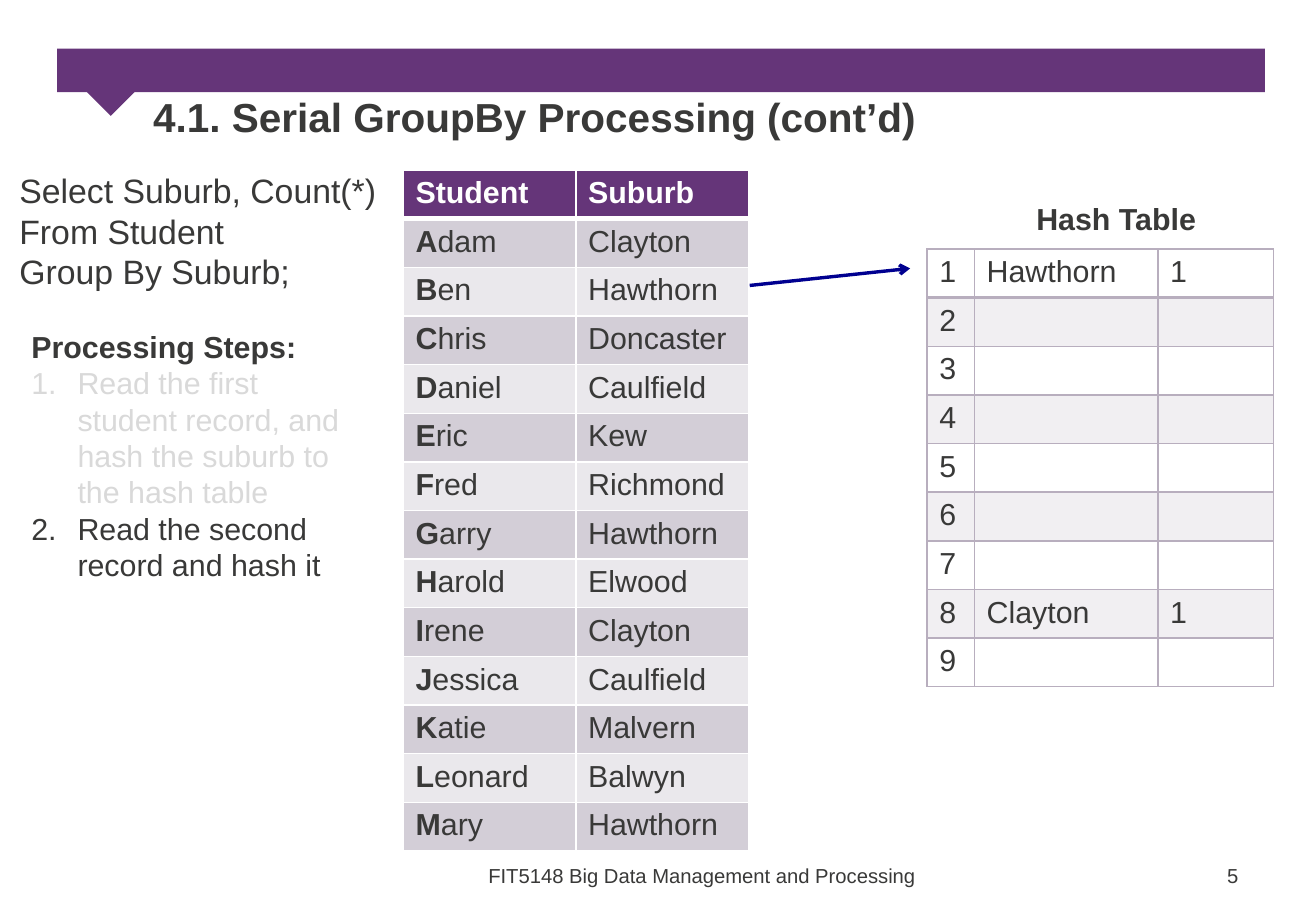
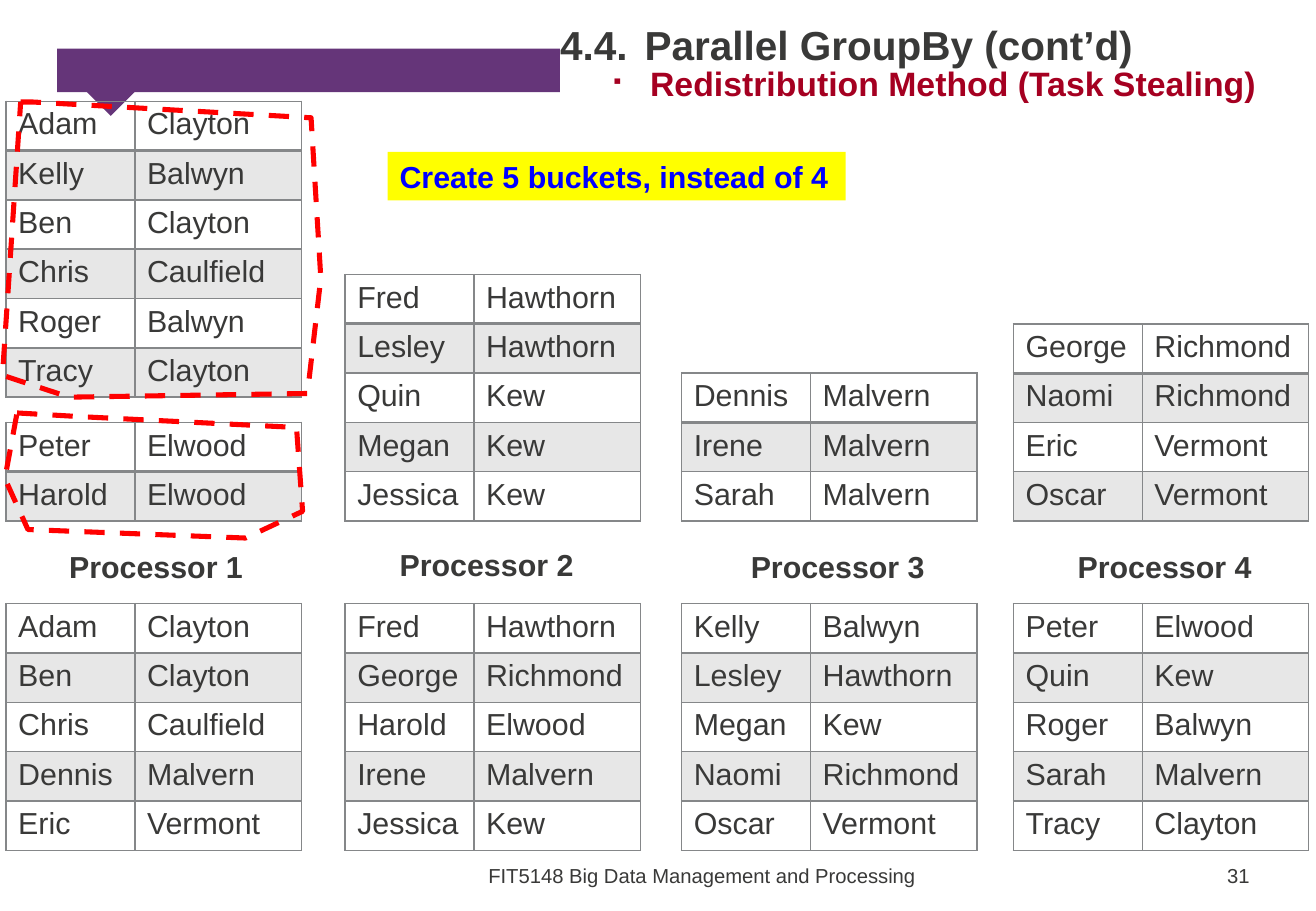
from lxml import etree
from pptx import Presentation, util as u
from pptx.dml.color import RGBColor
from pptx.enum import dml, shapes, text
from pptx.oxml import ns

PX = 9144  # one hundredth of an inch
FONT = "Arial"
PURPLE = RGBColor(0x65, 0x35, 0x79)
INK = RGBColor(0x39, 0x39, 0x38)
FADED = RGBColor(0xD9, 0xD9, 0xD9)
WHITE = RGBColor(0xFF, 0xFF, 0xFF)
CRIMSON = RGBColor(0xA5, 0x00, 0x21)
NAVY = RGBColor(0x00, 0x00, 0x90)
BLUE = RGBColor(0x00, 0x00, 0xFF)
YELLOW = RGBColor(0xFF, 0xFF, 0x00)
RED = RGBColor(0xFF, 0x00, 0x00)
STUDENT_BANDS = (RGBColor(0xD3, 0xCE, 0xD7), RGBColor(0xEA, 0xE8, 0xEC))
MAUVE = RGBColor(0xB8, 0xAE, 0xBE)
MAUVE_TINT = RGBColor(0xF1, 0xEF, 0xF2)
GREY = RGBColor(0x85, 0x87, 0x89)
GREY_TINT = RGBColor(0xE7, 0xE7, 0xE7)
NO_STYLE = "{2D5ABB26-0587-4C30-8999-92F81FD0307C}"

TITLE = {"size": 24, "bold": True}
STRONG = {"size": 18, "bold": True}
BODY = {"size": 18}
QUERY = {"size": 20}
SMALL = {"size": 12}
TITLE_MARGINS = (0, 0, 10, 5)
NO_MARGINS = (0, 0, 0, 0)

FOOTER = "FIT5148 Big Data Management and Processing"
SQL = ["Select Suburb, Count(*)", "From Student", "Group By Suburb;"]
STEPS = [
    ("Read the first student record, and hash the suburb to the hash table", FADED),
    ("Read the second record and hash it", INK),
]
STUDENTS = [
    ("Adam", "Clayton"), ("Ben", "Hawthorn"), ("Chris", "Doncaster"),
    ("Daniel", "Caulfield"), ("Eric", "Kew"), ("Fred", "Richmond"),
    ("Garry", "Hawthorn"), ("Harold", "Elwood"), ("Irene", "Clayton"),
    ("Jessica", "Caulfield"), ("Katie", "Malvern"), ("Leonard", "Balwyn"),
    ("Mary", "Hawthorn"),
]
HASH_SLOTS = 9
HASHED = {1: ("Hawthorn", "1"), 8: ("Clayton", "1")}

# left edge, label position, buckets as (bottom, rows), initial rows
PROCESSORS = [
    (5, (47, 446),
     [(327, [("Adam", "Clayton"), ("Kelly", "Balwyn"), ("Ben", "Clayton"),
             ("Chris", "Caulfield"), ("Roger", "Balwyn"), ("Tracy", "Clayton")]),
      (429, [("Peter", "Elwood"), ("Harold", "Elwood")])],
     [("Adam", "Clayton"), ("Ben", "Clayton"), ("Chris", "Caulfield"),
      ("Dennis", "Malvern"), ("Eric", "Vermont")]),
    (284, (319, 445),
     [(429, [("Fred", "Hawthorn"), ("Lesley", "Hawthorn"), ("Quin", "Kew"),
             ("Megan", "Kew"), ("Jessica", "Kew")])],
     [("Fred", "Hawthorn"), ("George", "Richmond"), ("Harold", "Elwood"),
      ("Irene", "Malvern"), ("Jessica", "Kew")]),
    (561, (608, 446),
     [(429, [("Dennis", "Malvern"), ("Irene", "Malvern"), ("Sarah", "Malvern")])],
     [("Kelly", "Balwyn"), ("Lesley", "Hawthorn"), ("Megan", "Kew"),
      ("Naomi", "Richmond"), ("Oscar", "Vermont")]),
    (834, (877, 446),
     [(429, [("George", "Richmond"), ("Naomi", "Richmond"), ("Eric", "Vermont"),
             ("Oscar", "Vermont")])],
     [("Peter", "Elwood"), ("Quin", "Kew"), ("Roger", "Balwyn"),
      ("Sarah", "Malvern"), ("Tracy", "Clayton")]),
]
INITIAL_BOTTOM = 700
BUCKET_ROW = 203 / 5
BUCKET_COLUMNS = (106, 137)
OUTLINES = [
    [(17, 84), (27, 84), (256, 97), (264, 229), (253, 324), (57, 327), (2, 309)],
    [(14, 340), (65, 343), (244, 352), (249, 421), (202, 443), (23, 436), (4, 394)],
]


def px(value):
    return u.Emu(round(value * PX))


def add_runs(paragraph, runs):
    """Runs are (text, format) pairs; a format may hold a color."""
    for content, style in runs:
        run = paragraph.add_run()
        run.text = content
        values = {"name": FONT, "bold": False, **style}
        run.font.color.rgb = values.pop("color", INK)
        values["size"] = u.Pt(values["size"])
        for name, value in values.items():
            setattr(run.font, name, value)


def add_text(slide, box, paragraphs, margins=(10, 5, 10, 5), wrap=True, fill=None):
    shape = slide.shapes.add_textbox(*map(px, box))
    frame = shape.text_frame
    frame.word_wrap = wrap
    frame.vertical_anchor = text.MSO_ANCHOR.TOP
    for side, margin in zip(("left", "top", "right", "bottom"), margins):
        setattr(frame, "margin_" + side, px(margin))
    if fill is not None:
        shape.fill.solid()
        shape.fill.fore_color.rgb = fill
    for index, runs in enumerate(paragraphs):
        paragraph = frame.paragraphs[0] if index == 0 else frame.add_paragraph()
        add_runs(paragraph, runs)
    return frame


def add_bullet(paragraph, indent, *marks):
    """Hang the paragraph by indent and give it (tag, attributes) bullet marks."""
    properties = paragraph._p.get_or_add_pPr()
    properties.set("marL", str(px(indent)))
    properties.set("indent", str(px(-indent)))
    for tag, attributes in marks:
        etree.SubElement(properties, ns.qn(tag), attributes)


def set_borders(cell, color, bottom, top):
    widths = {"a:lnL": 1, "a:lnR": 1, "a:lnT": top, "a:lnB": bottom}
    for tag, width in widths.items():
        line = etree.SubElement(cell._tc.get_or_add_tcPr(), ns.qn(tag),
                                {"w": str(u.Pt(width))})
        fill = etree.SubElement(line, ns.qn("a:solidFill"))
        etree.SubElement(fill, ns.qn("a:srgbClr"), {"val": str(color)})


def add_table(slide, left, top, columns, row_height, rows, fills, border, rule):
    """Rows hold lists of runs per cell; rule is the width below the first row."""
    frame = slide.shapes.add_table(len(rows), len(columns), px(left), px(top),
                                   px(sum(columns)), px(row_height * len(rows)))
    table = frame.table
    table.first_row = table.horz_banding = False
    table._tbl.tblPr.find(ns.qn("a:tableStyleId")).text = NO_STYLE
    for column, width in zip(table.columns, columns):
        column.width = px(width)
    for row_index, (row, fill) in enumerate(zip(rows, fills)):
        table.rows[row_index].height = px(row_height)
        for column_index, runs in enumerate(row):
            cell = table.cell(row_index, column_index)
            set_borders(cell, border, rule if row_index == 0 else 1,
                        rule if row_index == 1 else 1)
            if fill is None:
                cell.fill.background()
            else:
                cell.fill.solid()
                cell.fill.fore_color.rgb = fill
            add_runs(cell.text_frame.paragraphs[0], runs or [("", BODY)])


def alternate(fills, count):
    return [fills[index % len(fills)] for index in range(count)]


def add_bucket(slide, left, bottom, names):
    rows = [[[(word, BODY)] for word in pair] for pair in names]
    add_table(slide, left, bottom - BUCKET_ROW * len(rows), BUCKET_COLUMNS, BUCKET_ROW,
              rows, alternate((None, GREY_TINT), len(rows)), GREY, 2)


def add_base_slide(presentation, number):
    slide = presentation.slides.add_slide(presentation.slide_layouts[6])
    for box, rotation in (((47, 40, 994, 36), 0), ((78, 50, 32, 40), 45)):
        shape = slide.shapes.add_shape(shapes.MSO_SHAPE.RECTANGLE, *map(px, box))
        shape.rotation = rotation
        shape.shadow.inherit = False
        shape.fill.solid()
        shape.fill.fore_color.rgb = PURPLE
        shape.line.fill.background()
    add_text(slide, (1000, 706, 41, 30), [[(str(number), SMALL)]], wrap=False)
    add_text(slide, (392, 706, 376, 30), [[(FOOTER, SMALL)]], wrap=False)
    return slide


def add_arrow(slide, start, end):
    arrow = slide.shapes.add_connector(shapes.MSO_CONNECTOR.STRAIGHT,
                                       *map(px, start + end))
    arrow.line.color.rgb = NAVY
    arrow.line.width = u.Pt(2)
    etree.SubElement(arrow.line._get_or_add_ln(), ns.qn("a:tailEnd"), {"type": "arrow"})
    etree.SubElement(arrow._element.spPr, ns.qn("a:effectLst"))


def add_outline(slide, points):
    builder = slide.shapes.build_freeform(*points[0], scale=PX)
    builder.add_line_segments(points[1:], close=True)
    shape = builder.convert_to_shape()
    shape.shadow.inherit = False
    shape.fill.background()
    shape.line.color.rgb = RED
    shape.line.width = u.Pt(3)
    shape.line.dash_style = dml.MSO_LINE.DASH


def build_serial_slide(presentation):
    slide = add_base_slide(presentation, 5)
    add_text(slide, (126, 76, 921, 125),
             [[("4.1. Serial GroupBy Processing (cont’d)", TITLE)]], TITLE_MARGINS)
    add_text(slide, (16, 140, 316, 126), [[(line, QUERY)] for line in SQL], NO_MARGINS)

    header = [[(word, {**STRONG, "color": WHITE})] for word in ("Student", "Suburb")]
    rows = [[[(name[0], STRONG), (name[1:], BODY)], [(suburb, BODY)]]
            for name, suburb in STUDENTS]
    add_table(slide, 332, 140, (142, 142), 38, [header] + rows,
              [PURPLE] + alternate(STUDENT_BANDS, len(rows)), WHITE, 3)

    slots = [[[(word, BODY)] for word in (str(slot), *HASHED.get(slot, ("", "")))]
             for slot in range(1, HASH_SLOTS + 1)]
    add_table(slide, 763, 205, (39, 151, 95), 38, slots,
              alternate((None, MAUVE_TINT), HASH_SLOTS), MAUVE, 2)
    add_text(slide, (843, 160, 153, 40), [[("Hash Table", STRONG)]], wrap=False)

    steps = [[(step, {**BODY, "color": color})] for step, color in STEPS]
    frame = add_text(slide, (16, 265, 284, 252), [[("Processing Steps:", STRONG)]] + steps)
    for paragraph in frame.paragraphs[1:]:
        add_bullet(paragraph, 38, ("a:buFont", {"typeface": "+mj-lt"}),
                   ("a:buAutoNum", {"type": "arabicPeriod"}))
    add_arrow(slide, (617, 235), (749, 221))


def build_parallel_slide(presentation):
    slide = add_base_slide(presentation, 31)
    add_text(slide, (461, 0, 622, 125),
             [[("4.4.", TITLE), (" ", {**TITLE, "size": 36}),
               ("Parallel GroupBy (cont’d)", TITLE)]], TITLE_MARGINS, fill=WHITE)
    subtitle = ("Redistribution Method (Task Stealing)",
                {"size": 20, "bold": True, "color": CRIMSON})
    frame = add_text(slide, (503, 52, 532, 53), [[subtitle]], NO_MARGINS)
    add_bullet(frame.paragraphs[0], 32, ("a:buSzPct", {"val": "50000"}),
               ("a:buChar", {"char": "▪"}))

    for number, (left, label, buckets, initial) in enumerate(PROCESSORS, 1):
        for bottom, names in buckets + [(INITIAL_BOTTOM, initial)]:
            add_bucket(slide, left, bottom, names)
        add_text(slide, (*label, 165, 40), [[(f"Processor {number}", STRONG)]], wrap=False)
    for points in OUTLINES:
        add_outline(slide, points)
    add_text(slide, (319, 125, 377, 40),
             [[("Create 5 buckets, instead of 4", {**STRONG, "color": BLUE})]],
             wrap=False, fill=YELLOW)


def main():
    presentation = Presentation()
    presentation.slide_width, presentation.slide_height = px(1083), px(750)
    build_serial_slide(presentation)
    build_parallel_slide(presentation)
    presentation.save("out.pptx")


if __name__ == "__main__":
    main()
